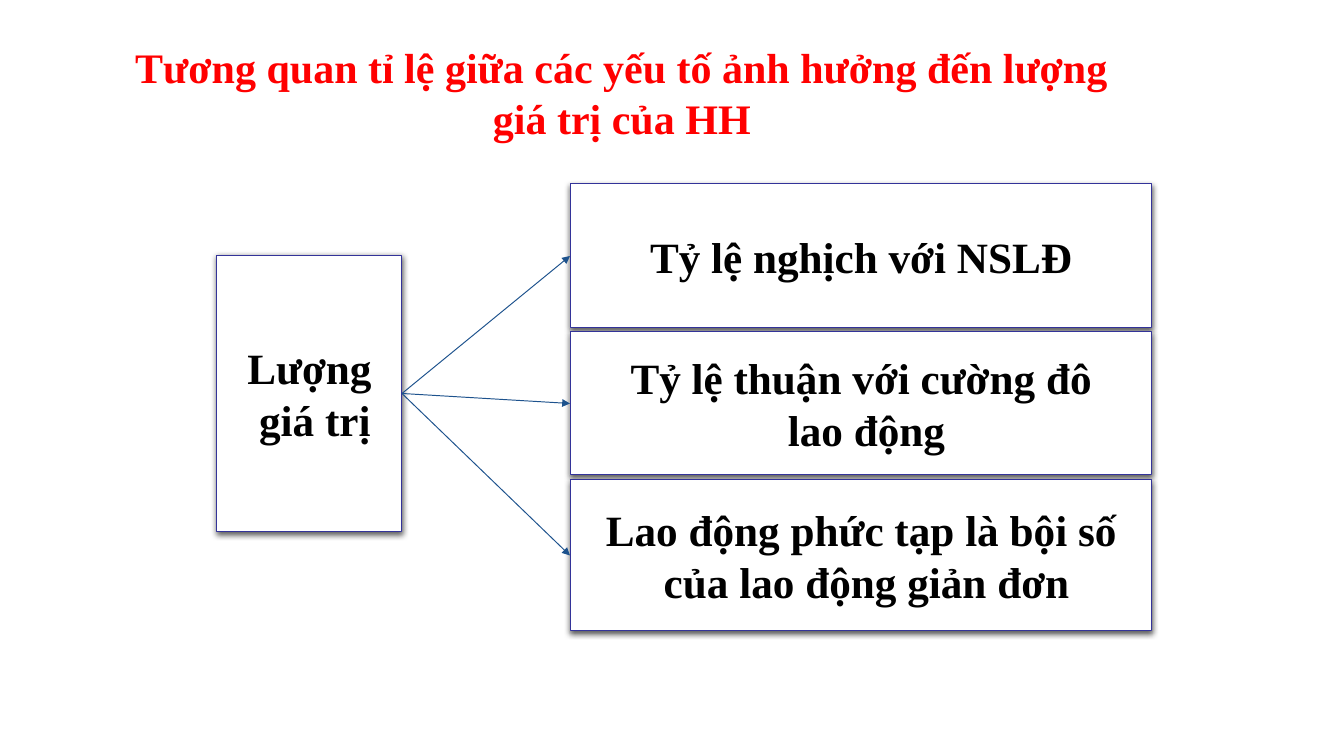
from lxml.etree import SubElement
from pptx import Presentation
from pptx.dml.color import RGBColor
from pptx.enum.shapes import MSO_CONNECTOR, MSO_SHAPE
from pptx.enum.text import MSO_ANCHOR, MSO_AUTO_SIZE, PP_ALIGN
from pptx.oxml.ns import qn
from pptx.util import Pt

EMU_PER_PX = 9676
FONT = "Times New Roman"
RED = RGBColor(0xFF, 0x00, 0x00)
BLACK = RGBColor(0x00, 0x00, 0x00)
WHITE = RGBColor(0xFF, 0xFF, 0xFF)
INDIGO = RGBColor(0x33, 0x33, 0x99)
BLUE = RGBColor(0x1D, 0x52, 0x8D)

FACTORS = [
    (144, ["Tỷ lệ nghịch với NSLĐ"]),
    (143, ["Tỷ lệ thuận với cường đô", " lao động"]),
    (151, ["Lao động phức tạp là bội số", " của lao động giản đơn"]),
]
FACTOR_TOP = 184
FACTOR_STEP = 148


def px(*lengths):
    """Turn px lengths into EMU."""
    return [length * EMU_PER_PX for length in lengths]


def write_lines(frame, lines, size, color):
    """Write centred bold lines, one paragraph each."""
    frame.text = "\n".join(lines)
    for paragraph in frame.paragraphs:
        paragraph.alignment = PP_ALIGN.CENTER
        font = paragraph.font
        font.name, font.size, font.bold = FONT, Pt(size), True
        font.color.rgb = color


def add_heading(slide, text):
    """Place and format the slide title."""
    heading = slide.shapes.title
    heading.left, heading.top, heading.width, heading.height = px(113, 37, 1018, 112)
    frame = heading.text_frame
    frame.word_wrap = True
    frame.auto_size = MSO_AUTO_SIZE.NONE
    frame.vertical_anchor = MSO_ANCHOR.TOP
    write_lines(frame, [text], 32, RED)


def add_shadow(box):
    """Give a box a soft shadow that falls straight down."""
    box.shadow.inherit = False
    effects = box.element.spPr.find(qn("a:effectLst"))
    shadow = SubElement(effects, qn("a:outerShdw"), blurRad=str(Pt(4.5)),
                        dist=str(Pt(1.5)), dir="5400000", rotWithShape="0")
    shade = SubElement(shadow, qn("a:srgbClr"), val=str(BLACK))
    SubElement(shade, qn("a:alpha"), val="63000")


def add_box(slide, left, top, width, height, lines):
    """Add a white outlined box with centred text."""
    box = slide.shapes.add_shape(MSO_SHAPE.RECTANGLE, *px(left, top, width, height))
    box.fill.solid()
    box.fill.fore_color.rgb = WHITE
    box.line.color.rgb = INDIGO
    box.line.width = Pt(0.75)
    add_shadow(box)
    frame = box.text_frame
    frame.word_wrap = False
    frame.vertical_anchor = MSO_ANCHOR.MIDDLE
    write_lines(frame, lines, 32.9, BLACK)
    return box


def add_arrow(slide, source, target):
    """Join the right side of one box to the left side of another."""
    arrow = slide.shapes.add_connector(MSO_CONNECTOR.STRAIGHT, 0, 0, 0, 0)
    arrow.begin_connect(source, 3)
    arrow.end_connect(target, 1)
    arrow.line.color.rgb = BLUE
    arrow.line.width = Pt(0.75)
    properties = arrow.element.spPr
    SubElement(properties.find(qn("a:ln")), qn("a:tailEnd"), type="triangle")
    SubElement(properties, qn("a:effectLst"))


def main():
    """Build the slide and save it."""
    presentation = Presentation()
    presentation.slide_width, presentation.slide_height = px(1344, 756)
    slide = presentation.slides.add_slide(presentation.slide_layouts[5])
    add_heading(slide, "Tương quan tỉ lệ giữa các yếu tố ảnh hưởng đến lượng giá trị của HH")
    value = add_box(slide, 217, 255, 185, 277, ["Lượng", " giá trị"])
    factors = [
        add_box(slide, 570, FACTOR_TOP + row * FACTOR_STEP, 582, height, lines)
        for row, (height, lines) in enumerate(FACTORS)
    ]
    for factor in factors:
        add_arrow(slide, value, factor)
    presentation.save("out.pptx")


if __name__ == "__main__":
    main()
